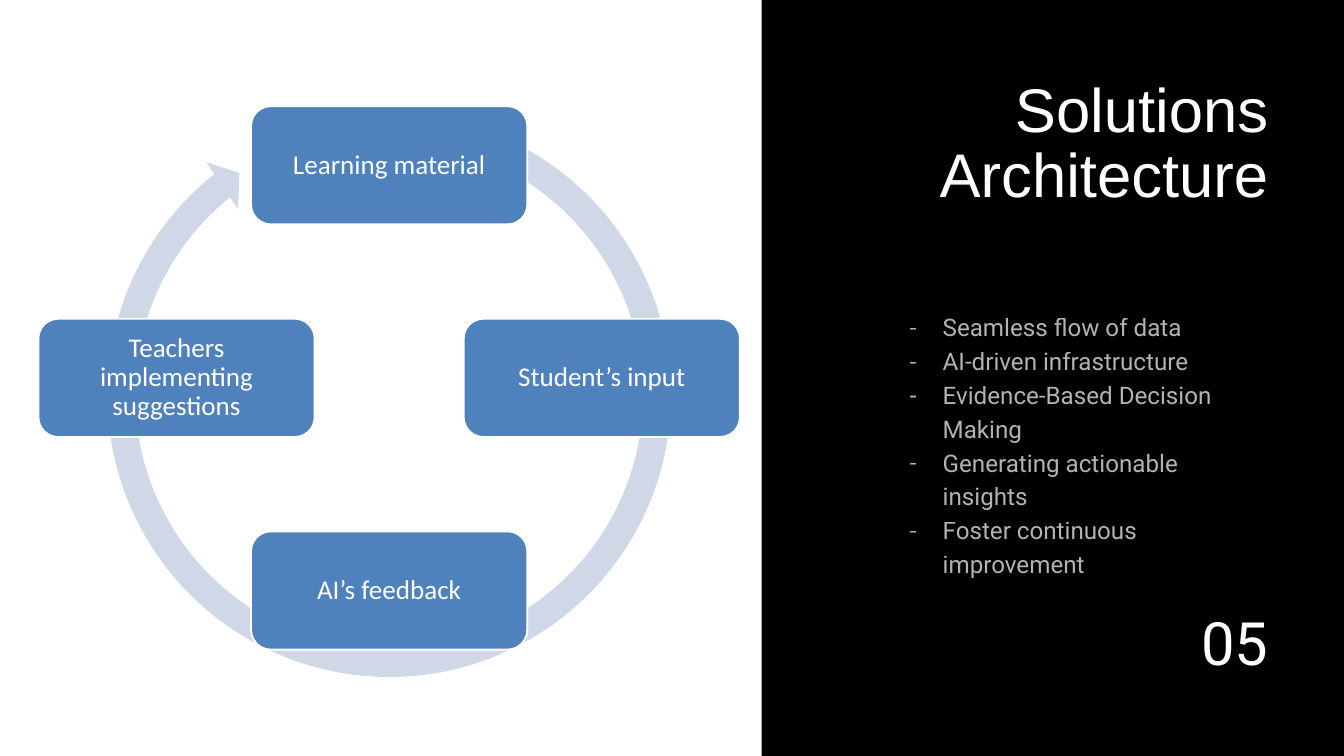
from pptx import Presentation
from pptx.dml.color import RGBColor
from pptx.enum.shapes import MSO_SHAPE
from pptx.enum.text import MSO_ANCHOR, MSO_AUTO_SIZE, PP_ALIGN
from pptx.oxml.xmlchemy import OxmlElement
from pptx.util import Pt

WHITE = RGBColor(0xFF, 0xFF, 0xFF)
BLACK = RGBColor(0x00, 0x00, 0x00)
CARD_BLUE = RGBColor(0x4F, 0x81, 0xBD)
ARROW_BLUE = RGBColor(0xD0, 0xD8, 0xE8)

STEPS = [
    "Learning material",
    "Student’s input",
    "AI’s feedback",
    "Teachers implementing suggestions",
]
POINTS = [
    "Seamless flow of data",
    "AI-driven infrastructure",
    "Evidence-Based Decision Making",
    "Generating actionable insights",
    "Foster continuous improvement",
]


def place(shape, left, top, width, height):
    shape.left, shape.top = Pt(left), Pt(top)
    shape.width, shape.height = Pt(width), Pt(height)


def prepare_frame(shape, inset=0, anchor=MSO_ANCHOR.TOP):
    """Give the text frame equal insets, wrapping and a fixed size."""
    frame = shape.text_frame
    frame.margin_left = frame.margin_right = Pt(inset)
    frame.margin_top = frame.margin_bottom = Pt(inset)
    frame.word_wrap = True
    frame.auto_size = MSO_AUTO_SIZE.NONE
    frame.vertical_anchor = anchor
    return frame


def style_paragraph(paragraph, font_name, size, align, line_spacing):
    paragraph.alignment = align
    paragraph.line_spacing = line_spacing
    paragraph.space_before = Pt(0)
    for run in paragraph.runs:
        run.font.name = font_name
        run.font.size = Pt(size)
        run.font.color.rgb = WHITE


def add_filled(slide, preset, box, color):
    left, top, width, height = box
    shape = slide.shapes.add_shape(preset, Pt(left), Pt(top), Pt(width), Pt(height))
    shape.shadow.inherit = False
    shape.fill.solid()
    shape.fill.fore_color.rgb = color
    shape.line.fill.background()
    return shape


def add_dash(paragraph, indent):
    properties = paragraph._p.get_or_add_pPr()
    properties.set("marL", str(Pt(indent)))
    properties.set("indent", str(-Pt(indent)))
    bullet = OxmlElement("a:buChar")
    bullet.set("char", "-")
    properties.append(bullet)


def soften(run, percent):
    """Make the run's solid colour partly transparent."""
    alpha = OxmlElement("a:alpha")
    alpha.set("val", str(percent * 1000))
    run._r.rPr.find(".//{*}srgbClr").append(alpha)


def build_cycle(slide, left, top, width, height):
    """Draw four cards around the centre of the box, joined by a round arrow."""
    card_width, card_height = 296, 126.7
    center_x, center_y = left + width / 2, top + height / 2
    radius = (width - card_width) / 2
    arrow_size, arrow_drop = 635, 18.5

    arrow_box = (center_x - arrow_size / 2, center_y + arrow_drop - arrow_size / 2,
                 arrow_size, arrow_size)
    arrow = add_filled(slide, MSO_SHAPE.CIRCULAR_ARROW, arrow_box, ARROW_BLUE)
    for index, value in enumerate((0.047, 2.729, 138.866, 173.539, 0.048)):
        arrow.adjustments[index] = value

    directions = [(0, -1), (1, 0), (0, 1), (-1, 0)]
    for step, (across, down) in zip(STEPS, directions):
        card_box = (center_x + across * radius - card_width / 2,
                    center_y + down * radius - card_height / 2,
                    card_width, card_height)
        card = add_filled(slide, MSO_SHAPE.ROUNDED_RECTANGLE, card_box, CARD_BLUE)
        card.line.color.rgb = WHITE
        card.line.width = Pt(2)
        frame = prepare_frame(card, 8.6, MSO_ANCHOR.MIDDLE)
        frame.text = step
        style_paragraph(frame.paragraphs[0], "Calibri", 29, PP_ALIGN.CENTER, 0.9)


def build_panel(slide, left, top, width, height):
    """Fill the dark panel with the title, the list and the page number."""
    title, body = slide.shapes.title, slide.placeholders[1]
    panel = add_filled(slide, MSO_SHAPE.RECTANGLE, (left, top, width, height), BLACK)
    title.element.addprevious(panel.element)
    text_right = left + 543

    place(title, text_right - 448, top + 112.3, 448, 214)
    frame = prepare_frame(title)
    frame.text = "Solutions Architecture"
    style_paragraph(frame.paragraphs[0], "Arial", 66, PP_ALIGN.RIGHT, Pt(70.4))

    place(body, text_right - 385, top + 358, 385, 253.5)
    frame = prepare_frame(body)
    frame.text = "\n".join(POINTS)
    for paragraph in frame.paragraphs:
        add_dash(paragraph, 36)
        style_paragraph(paragraph, "Roboto", 25.9, PP_ALIGN.LEFT, Pt(36.2))
        soften(paragraph.runs[0], 70)

    number = slide.shapes.add_textbox(Pt(text_right - 85), Pt(top + 689.7), Pt(85), Pt(67.7))
    frame = prepare_frame(number)
    frame.text = "05"
    style_paragraph(frame.paragraphs[0], "Roboto", 64, PP_ALIGN.RIGHT, Pt(64))
    frame.paragraphs[0].runs[0].font._element.set("spc", "-60")


def main():
    presentation = Presentation()
    presentation.slide_width, presentation.slide_height = Pt(1440), Pt(810)
    slide = presentation.slides.add_slide(presentation.slide_layouts[1])
    build_panel(slide, 816, -28, 658, 867)
    build_cycle(slide, 41.2, 113.8, 751.6, 582.2)
    presentation.save("out.pptx")


if __name__ == "__main__":
    main()
